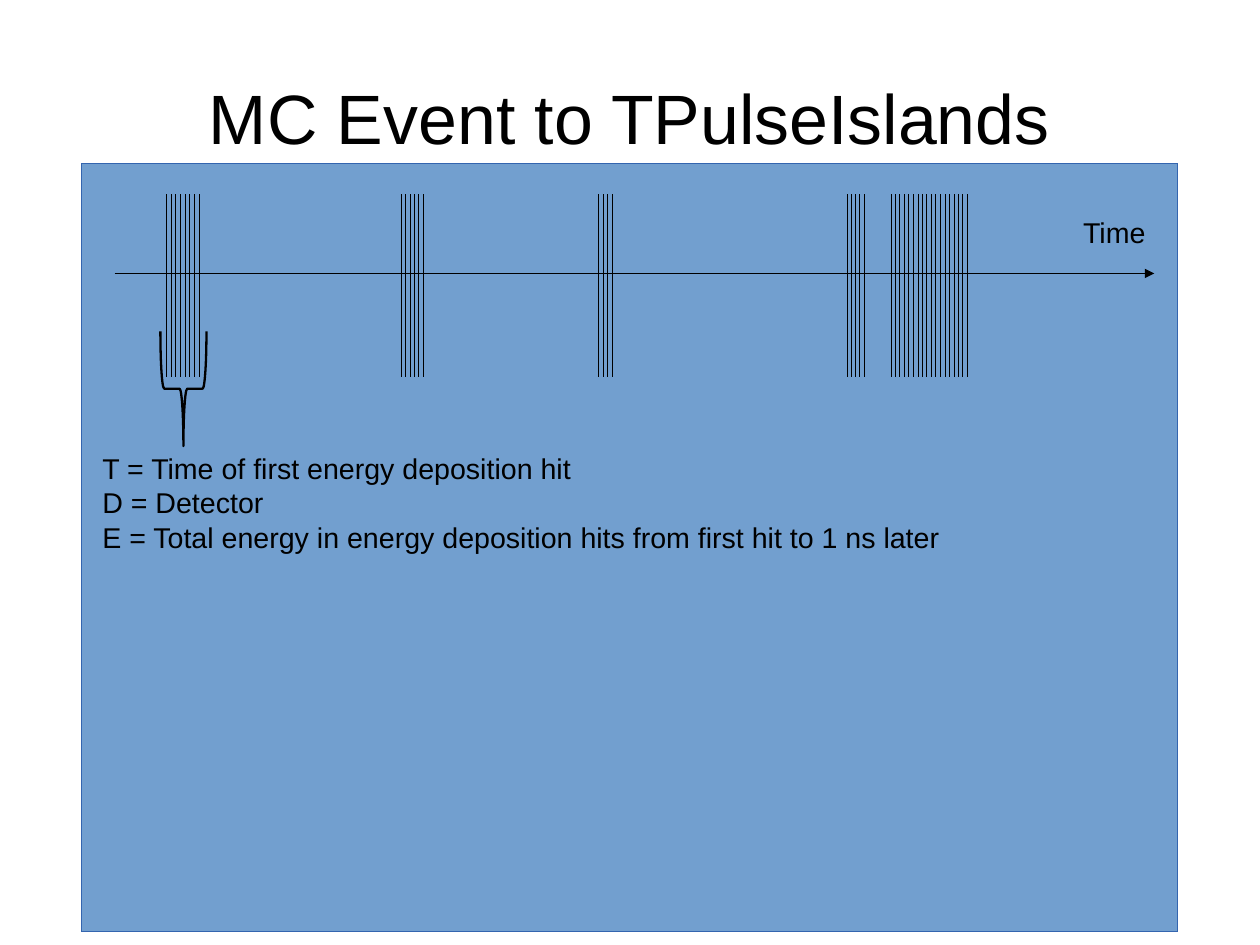
from lxml import etree
from pptx import Presentation
from pptx.dml.color import RGBColor
from pptx.enum.shapes import MSO_CONNECTOR, MSO_SHAPE
from pptx.enum.text import MSO_ANCHOR, PP_ALIGN
from pptx.oxml.ns import qn
from pptx.util import Pt

STRAIGHT = MSO_CONNECTOR.STRAIGHT
RECTANGLE, RIGHT_BRACE = MSO_SHAPE.RECTANGLE, MSO_SHAPE.RIGHT_BRACE
TOP, MIDDLE = MSO_ANCHOR.TOP, MSO_ANCHOR.MIDDLE
LEFT, CENTER = PP_ALIGN.LEFT, PP_ALIGN.CENTER

EMU_PER_PX = 9000  # 4 px to the millimetre
BLANK_LAYOUT = 6
HAIRLINE = 0.01  # a width of 0 would fall back to the theme's line

# Energy deposition hits: first x, last x, number of hits
BURSTS = [(148, 177, 8), (357, 376, 6), (532, 544, 4), (753, 768, 5), (792, 860, 18)]
HIT_TOP, HIT_BOTTOM = 173, 335
AXIS_Y = 243

PULSE_NOTES = [
    "T = Time of first energy deposition hit",
    "D = Detector",
    "E = Total energy in energy deposition hits from first hit to 1 ns later",
]


def px(*lengths):
    """Turn px lengths into a list of EMU."""
    return [round(length * EMU_PER_PX) for length in lengths]


def color(hex_code):
    return RGBColor.from_string(hex_code)


class SlideBuilder:
    font_name = "Arial"
    ink = "000000"

    def __init__(self, slide):
        self.slide = slide

    def text(self, box, lines, size=18, align=LEFT, anchor=TOP, insets=(10, 5)):
        frame = self.slide.shapes.add_textbox(*px(*box)).text_frame
        frame.word_wrap = True
        frame.vertical_anchor = anchor
        horizontal, vertical = px(*insets)
        frame.margin_left = frame.margin_right = horizontal
        frame.margin_top = frame.margin_bottom = vertical
        frame.text = "\n".join(lines)
        for paragraph in frame.paragraphs:
            paragraph.alignment = align
            paragraph.font.name = self.font_name
            paragraph.font.size = Pt(size)
            paragraph.font.color.rgb = color(self.ink)

    def shape(self, kind, box, line, width=HAIRLINE, fill=None, rotation=0):
        shape = self.slide.shapes.add_shape(kind, *px(*box))
        shape.shadow.inherit = False
        shape.rotation = rotation
        if fill:
            shape.fill.solid()
            shape.fill.fore_color.rgb = color(fill)
        else:
            shape.fill.background()
        shape.line.color.rgb = color(line)
        shape.line.width = Pt(width)

    def line(self, start, end, arrow=False):
        connector = self.slide.shapes.add_connector(STRAIGHT, *px(*start, *end))
        connector.line.color.rgb = color(self.ink)
        connector.line.width = Pt(HAIRLINE)
        properties = connector._element.spPr
        if arrow:
            outline = properties.find(qn("a:ln"))
            etree.SubElement(outline, qn("a:tailEnd"), type="triangle")
        etree.SubElement(properties, qn("a:effectLst"))

    def burst(self, first, last, count):
        """Draw evenly spaced vertical hits from first to last x."""
        for index in range(count):
            x = first + index * (last - first) / (count - 1)
            self.line((x, HIT_TOP), (x, HIT_BOTTOM))


def main():
    presentation = Presentation()
    presentation.slide_width, presentation.slide_height = px(1120, 840)
    layout = presentation.slide_layouts[BLANK_LAYOUT]
    builder = SlideBuilder(presentation.slides.add_slide(layout))

    builder.text((56, 34, 1008, 140), ["MC Event to TPulseIslands"], size=44,
                 align=CENTER, anchor=MIDDLE, insets=(0, 0))
    builder.shape(RECTANGLE, (72, 145, 975, 683), "3465AF", fill="729FCF")
    builder.line((102, AXIS_Y), (1026, AXIS_Y), arrow=True)
    builder.text((945, 186, 91, 39), ["Time"], align=CENTER)
    for burst in BURSTS:
        builder.burst(*burst)
    builder.shape(RIGHT_BRACE, (112, 325, 102, 41), builder.ink, width=1.45, rotation=90)
    builder.text((81, 396, 772, 96), PULSE_NOTES)

    presentation.save("out.pptx")


if __name__ == "__main__":
    main()
